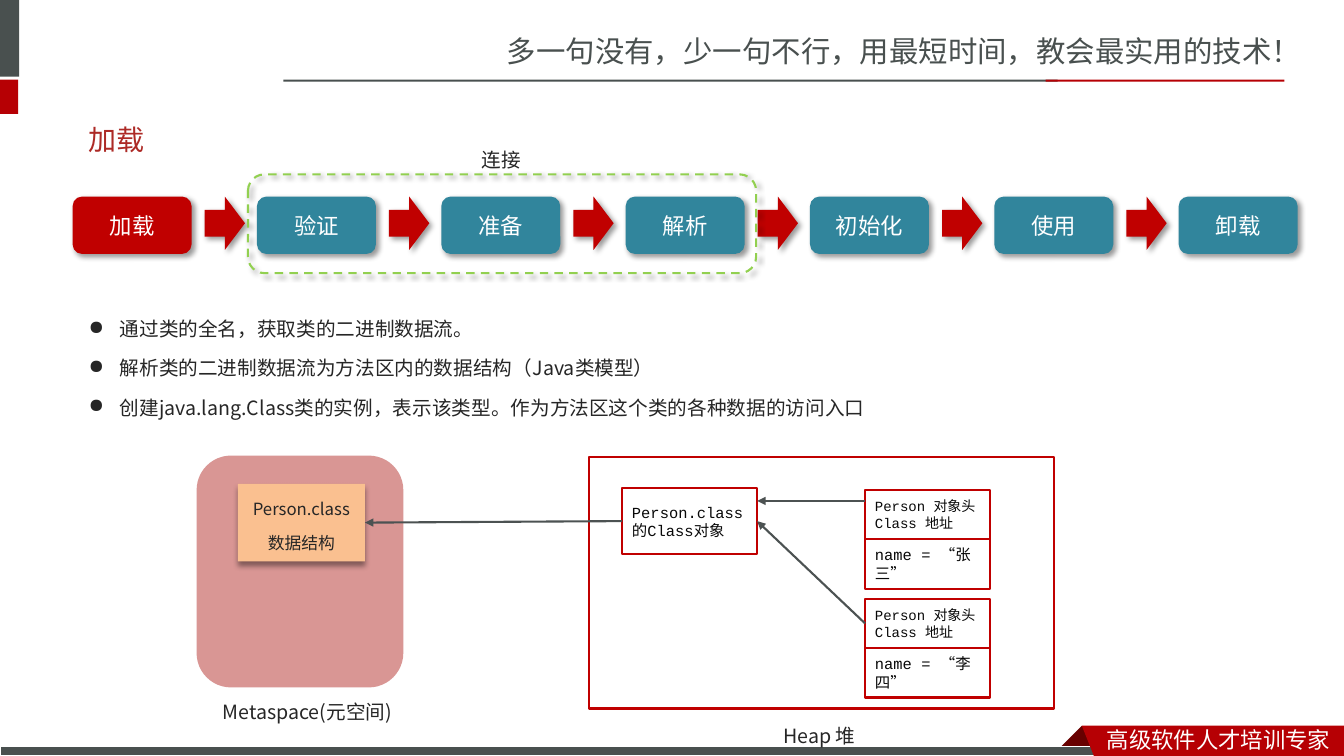
from pptx import Presentation
from pptx.dml.color import RGBColor
from pptx.enum.dml import MSO_LINE
from pptx.enum.shapes import MSO_CONNECTOR, MSO_SHAPE
from pptx.enum.text import MSO_ANCHOR, PP_ALIGN
from pptx.oxml.ns import qn
from pptx.util import Inches, Pt
from lxml.etree import SubElement

SC, JP, MONO = "Noto Sans CJK SC", "Noto Sans CJK JP", "Courier New"
DARK, RED, CRIMSON, TEAL = "49504F", "B60004", "C00000", "31859C"
INK, WHITE = "262626", "FFFFFF"
TOP, LEFT, BOTTOM, RIGHT = range(4)


def color(hex_string):
    return RGBColor.from_string(hex_string)


def add_shadow(shape, direction):
    effects = shape.element.spPr.find(qn("a:effectLst"))
    shadow = SubElement(effects, qn("a:outerShdw"), blurRad=str(Pt(4)), dist=str(Pt(3)),
                        dir=str(direction * 60000), algn="tl", rotWithShape="0")
    black = SubElement(shadow, qn("a:srgbClr"), val="000000")
    SubElement(black, qn("a:alpha"), val="40000")


def style_shape(shape, fill=None, line=None, weight=1.5, shadow=None):
    shape.shadow.inherit = False
    if fill:
        shape.fill.solid()
        shape.fill.fore_color.rgb = color(fill)
    else:
        shape.fill.background()
    if line:
        shape.line.color.rgb = color(line)
        shape.line.width = Pt(weight)
    else:
        shape.line.fill.background()
    if shadow is not None:
        add_shadow(shape, shadow)
    return shape


def add_box(slide, kind, left, top, width, height, **style):
    shape = slide.shapes.add_shape(kind, Inches(left), Inches(top), Inches(width), Inches(height))
    return style_shape(shape, **style)


def add_outline(slide, points, fill):
    builder = slide.shapes.build_freeform(Inches(points[0][0]), Inches(points[0][1]), scale=1.0)
    builder.add_line_segments([(Inches(x), Inches(y)) for x, y in points[1:]], close=True)
    return style_shape(builder.convert_to_shape(), fill=fill)


def write(shape, text, size, font, ink, align=PP_ALIGN.LEFT, anchor=MSO_ANCHOR.TOP,
          spacing=None, bullet=None):
    frame = shape.text_frame
    frame.word_wrap = True
    frame.vertical_anchor = anchor
    frame.text = text
    for index, paragraph in enumerate(frame.paragraphs):
        paragraph.alignment = align
        if spacing:
            paragraph.line_spacing = spacing
            if index:
                paragraph.space_before = Pt(size * 0.2)
        if bullet:
            properties = paragraph._p.get_or_add_pPr()
            properties.set("marL", str(Inches(0.31)))
            properties.set("indent", str(Inches(-0.31)))
            SubElement(properties, qn("a:buChar"), char=bullet)
        for run in paragraph.runs:
            run.font.size = Pt(size)
            run.font.name = font
            run.font.color.rgb = color(ink)
            east_asian = JP if font == JP else SC
            SubElement(run._r.get_or_add_rPr(), qn("a:ea"), typeface=east_asian)


def add_text(slide, left, top, width, height, text, size, font, ink, **layout):
    box = slide.shapes.add_textbox(Inches(left), Inches(top), Inches(width), Inches(height))
    write(box, text, size, font, ink, **layout)


def add_arrow(slide, start=(0, 0), end=(0, 0), join=None):
    ends = [Inches(value) for value in (*start, *end)]
    connector = slide.shapes.add_connector(MSO_CONNECTOR.STRAIGHT, *ends)
    if join:
        source, target = join
        connector.begin_connect(source, LEFT)
        connector.end_connect(target, RIGHT)
    connector.line.color.rgb = color("4C5252")
    connector.line.width = Pt(1.5)
    SubElement(connector.line._get_or_add_ln(), qn("a:tailEnd"), type="triangle")
    SubElement(connector.element.spPr, qn("a:effectLst"))


def add_header(slide):
    add_text(slide, 4.93, 0.28, 8.4, 0.47,
             "多一句没有，少一句不行，用最短时间，教会最实用的技术！", 21, SC, DARK)
    for left, top, width, height, fill in [
        (0, 0, 0.19, 0.76, DARK), (0, 0.79, 0.18, 0.34, RED),
        (2.81, 0.79, 7.68, 0.02, DARK), (10.37, 0.79, 2.37, 0.02, RED),
    ]:
        add_box(slide, MSO_SHAPE.RECTANGLE, left, top, width, height, fill=fill)


def add_footer(slide, left, top):
    bottom = 7.5
    add_outline(slide, [(left, top), (left + 0.22, top + 0.22), (left - 0.22, top + 0.22)], "680000")
    add_box(slide, MSO_SHAPE.RECTANGLE, 0, 7.41, 10.99, bottom - 7.41,
            fill=DARK, line=WHITE, weight=0.75)
    add_outline(slide, [(left, top), (13.33, top), (13.33, bottom), (left + 0.12, bottom)], RED)
    add_text(slide, left + 0.15, top - 0.05, 2.45, 0.35, "高级软件人才培训专家", 16, SC, WHITE)


def add_lifecycle(slide, left, top, width):
    steps = ["加载", "验证", "准备", "解析", "初始化", "使用", "卸载"]
    step_width, step_height = 1.18, 0.57
    pitch = (width - step_width) / (len(steps) - 1)
    for index, name in enumerate(steps):
        x = left + index * pitch
        step = add_box(slide, MSO_SHAPE.ROUNDED_RECTANGLE, x, top, step_width, step_height,
                       fill=TEAL if index else CRIMSON, shadow=45)
        write(step, name, 16, JP if index < 4 else "Calibri", WHITE,
              align=PP_ALIGN.CENTER, anchor=MSO_ANCHOR.MIDDLE)
        if index < len(steps) - 1:
            add_box(slide, MSO_SHAPE.RIGHT_ARROW, x + 1.31, top, 0.4, 0.53,
                    fill=CRIMSON, shadow=45)
    # Linking phase around the middle steps
    linking = add_box(slide, MSO_SHAPE.ROUNDED_RECTANGLE, left + 1.74, top - 0.22, 5.04, 0.98,
                      line="92D050", shadow=45)
    linking.line.dash_style = MSO_LINE.DASH
    add_text(slide, left + 3.96, top - 0.65, 0.77, 0.61, "连接", 14, JP, INK, spacing=1.5)


def add_metaspace(slide, left, top):
    add_box(slide, MSO_SHAPE.ROUNDED_RECTANGLE, left, top, 2.05, 2.3, fill="D99694")
    structure = add_box(slide, MSO_SHAPE.RECTANGLE, left + 0.41, top + 0.28, 1.26, 0.77,
                        fill="FAC090", shadow=90)
    write(structure, "Person.class\n数据结构", 12, JP, INK, align=PP_ALIGN.CENTER, spacing=1.5)
    add_text(slide, left + 0.16, top + 2.37, 2.59, 0.34, "Metaspace(元空间)", 14, JP, INK)
    return structure


def add_heap_cell(slide, left, top, width, height, text, size):
    cell = add_box(slide, MSO_SHAPE.RECTANGLE, left, top, width, height, line=CRIMSON)
    write(cell, text, size, MONO, "080808", anchor=MSO_ANCHOR.MIDDLE)
    return cell


def add_heap(slide, left, top):
    add_box(slide, MSO_SHAPE.RECTANGLE, left, top, 4.61, 2.5, line=CRIMSON)
    add_text(slide, left + 1.83, top + 2.49, 1.67, 0.48, "Heap 堆", 14, JP, INK, spacing=1.5)
    class_object = add_heap_cell(slide, left + 0.33, top + 0.31, 1.34, 0.66,
                                 "Person.class\n的Class对象", 11)
    # Person instances: object header above its name field
    headers = []
    for offset, name in [(0.33, "张三"), (1.41, "李四")]:
        x, y = left + 2.74, top + offset
        headers.append(add_heap_cell(slide, x, y, 1.24, 0.49, "Person 对象头\nClass 地址", 10))
        add_heap_cell(slide, x, y + 0.49, 1.24, 0.49, f"name = “{name}”", 11)
    add_arrow(slide, (left + 2.74, top + 0.44), (left + 1.67, top + 0.44))
    add_arrow(slide, join=(headers[1], class_object))
    return class_object


def add_loading_slide(presentation):
    slide = presentation.slides.add_slide(presentation.slide_layouts[6])
    add_header(slide)
    add_footer(slide, 10.73, 7.2)
    # Title and key points
    add_text(slide, 0.78, 1.1, 11.7, 0.57, "加载", 20, "Lato", "AD2A26", anchor=MSO_ANCHOR.MIDDLE)
    points = ["通过类的全名，获取类的二进制数据流。",
              "解析类的二进制数据流为方法区内的数据结构（Java类模型）",
              "创建java.lang.Class类的实例，表示该类型。作为方法区这个类的各种数据的访问入口"]
    add_text(slide, 0.78, 2.98, 12.33, 1.46, "\n".join(points), 14, JP, INK,
             spacing=1.5, bullet="●")
    # Memory diagram
    class_object = add_heap(slide, 5.84, 4.53)
    structure = add_metaspace(slide, 1.95, 4.52)
    add_lifecycle(slide, 0.72, 1.95, 12.15)
    add_arrow(slide, join=(class_object, structure))


def main():
    presentation = Presentation()
    presentation.slide_width, presentation.slide_height = Inches(13.33), Inches(7.5)
    add_loading_slide(presentation)
    presentation.save("out.pptx")


if __name__ == "__main__":
    main()
